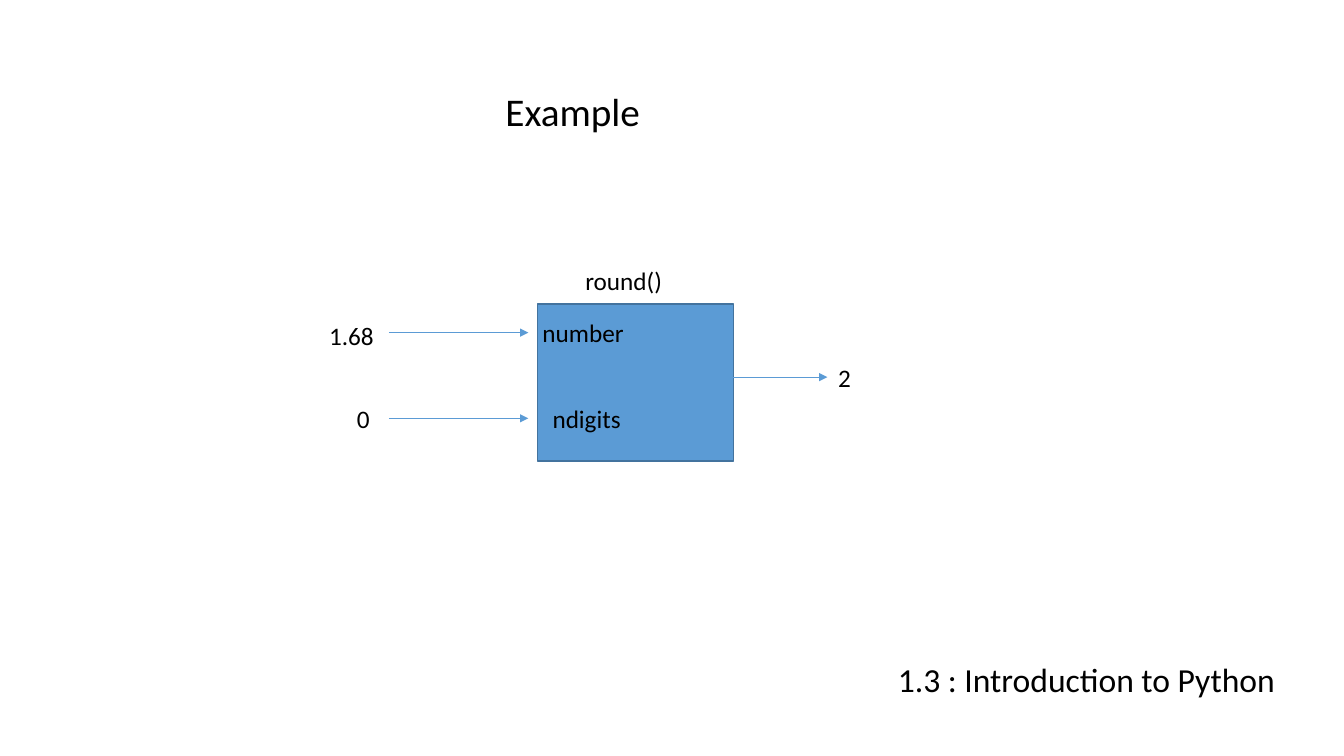
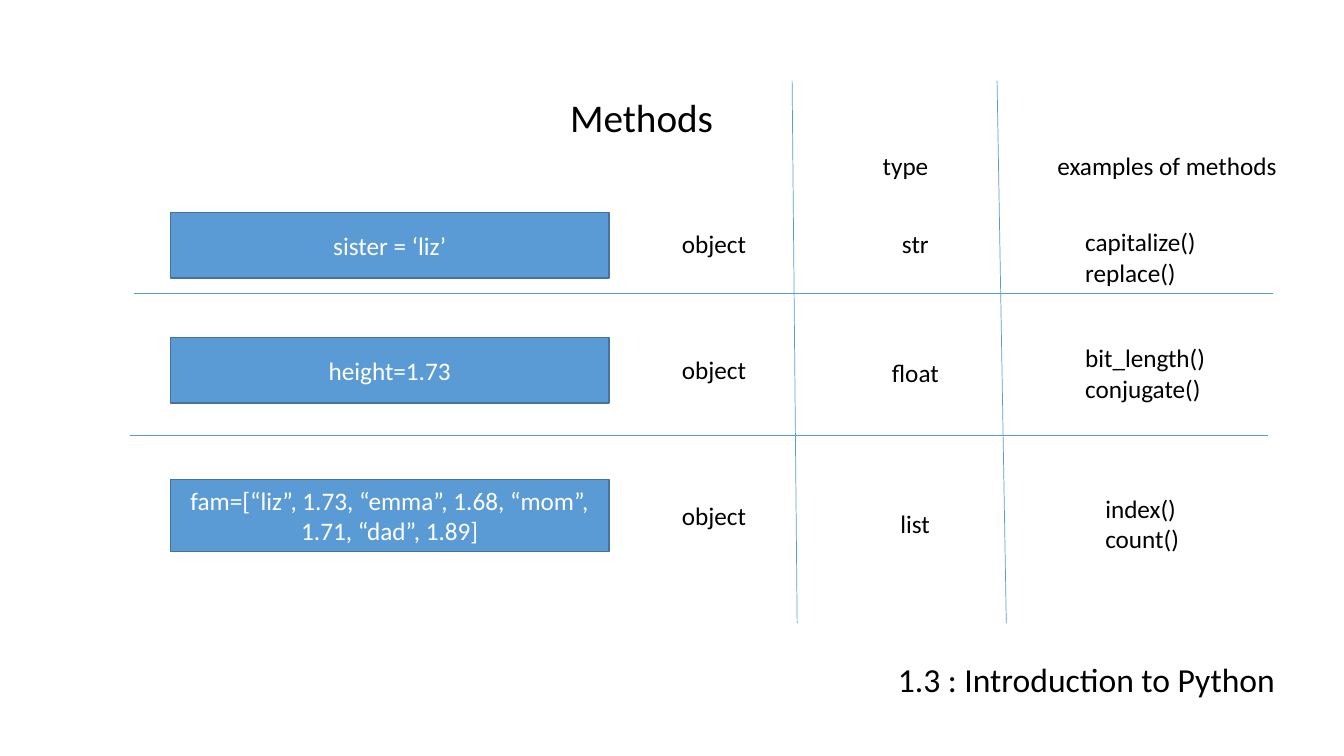
"""Build two slides on Python functions and methods, laid out on a 16 by 9 grid."""
from dataclasses import dataclass

from lxml import etree
from pptx import Presentation
from pptx.dml.color import RGBColor
from pptx.enum.shapes import MSO_CONNECTOR, MSO_SHAPE
from pptx.enum.text import MSO_ANCHOR, PP_ALIGN
from pptx.oxml.ns import qn
from pptx.util import Inches, Pt

RECT = MSO_SHAPE.RECTANGLE
STRAIGHT = MSO_CONNECTOR.STRAIGHT
TOP, MIDDLE = MSO_ANCHOR.TOP, MSO_ANCHOR.MIDDLE
LEFT, CENTER = PP_ALIGN.LEFT, PP_ALIGN.CENTER
WIDTH, HEIGHT = Inches(13.33), Inches(7.5)
COLS, ROWS = 16, 9


@dataclass(frozen=True)
class Theme:
    """Colours, font and type sizes shared by the slides."""
    font: str = "Calibri"
    ink: RGBColor = RGBColor(0x00, 0x00, 0x00)
    paper: RGBColor = RGBColor(0xFF, 0xFF, 0xFF)
    accent: RGBColor = RGBColor(0x5B, 0x9B, 0xD5)
    edge: RGBColor = RGBColor(0x43, 0x73, 0x9E)
    title: int = 28
    footer: int = 24
    body: int = 18
    edge_width: float = 1
    rule_width: float = 0.5


THEME = Theme()


def col(n):
    """Return the length of n grid columns."""
    return int(WIDTH * n / COLS)


def row(n):
    """Return the length of n grid rows."""
    return int(HEIGHT * n / ROWS)


def write(sp, text, size, color, align=LEFT, anchor=TOP):
    """Fill a shape with one styled paragraph and return it."""
    tf = sp.text_frame
    tf.word_wrap = True
    tf.vertical_anchor = anchor
    p = tf.paragraphs[0]
    p.text = text
    p.alignment = align
    p.font.name = THEME.font
    p.font.size = Pt(size)
    p.font.color.rgb = color
    return p


def add_label(s, text, x, y, w=1.3, h=0.48, size=THEME.body, anchor=TOP):
    """Add dark text at a grid position."""
    sp = s.shapes.add_textbox(col(x), row(y), col(w), row(h))
    return write(sp, text, size, THEME.ink, anchor=anchor)


def add_box(s, x, y, w, h, text=""):
    """Add a filled box, with centred light text if any is given."""
    sp = s.shapes.add_shape(RECT, col(x), row(y), col(w), row(h))
    sp.shadow.inherit = False
    sp.fill.solid()
    sp.fill.fore_color.rgb = THEME.accent
    sp.line.color.rgb = THEME.edge
    sp.line.width = Pt(THEME.edge_width)
    if text:
        write(sp, text, THEME.body, THEME.paper, CENTER, MIDDLE)


def add_rule(s, x1, y1, x2, y2, arrow=False):
    """Add a thin line, optionally ending in an arrowhead."""
    line = s.shapes.add_connector(STRAIGHT, col(x1), row(y1), col(x2), row(y2))
    line.line.color.rgb = THEME.accent
    line.line.width = Pt(THEME.rule_width)
    props = line._element.spPr
    if arrow:
        etree.SubElement(props.find(qn("a:ln")), qn("a:tailEnd"), type="triangle")
    etree.SubElement(props, qn("a:effectLst"))


def add_slide(prs, title, x, y):
    """Add a blank slide with its title and the shared footer."""
    s = prs.slides.add_slide(prs.slide_layouts[6])
    p = add_label(s, title, x, y, 2.5, 1.74, THEME.title, MIDDLE)
    p.line_spacing = 0.9
    add_label(s, "1.3 : Introduction to Python", 10.57, 7.79, 5.2, 0.6, THEME.footer)
    return s


def build_example(prs):
    """Show round() as a box with two inputs and one output."""
    s = add_slide(prs, "Example", 5.9, 0.48)
    x, w = 6.4, 2.33
    add_box(s, x, 3.62, w, 1.87)
    for y in (3.96, 4.98):
        add_rule(s, 4.63, y, 6.29, y, arrow=True)
    add_rule(s, x + w, 4.49, 9.85, 4.49, arrow=True)
    for label in (
        ("number", 6.34, 3.72),
        ("ndigits", 6.46, 4.74),
        ("round()", 6.85, 3.1),
        ("1.68", 3.8, 3.76, 0.8),
        ("0", 4.13, 4.74, 0.4),
        ("2", 9.86, 4.25),
    ):
        add_label(s, *label)


def build_methods(prs):
    """List objects with their types and example methods."""
    s = add_slide(prs, "Methods", 6.67, 0.56)
    for text, y, h in (
        ("sister = ‘liz’", 2.53, 0.78),
        ("height=1.73", 4.02, 0.78),
        ("fam=[“liz”, 1.73, “emma”, 1.68, “mom”, 1.71, “dad”, 1.89]", 5.71, 0.86),
    ):
        add_box(s, 2.03, y, 5.22, h, text)
    for y in (2.66, 4.16, 5.9):
        add_label(s, "object", 8, y)
    for label in (
        ("type", 10.39, 1.73),
        ("str", 10.62, 2.66),
        ("float", 10.5, 4.19),
        ("list", 10.6, 5.99),
        ("examples of methods", 12.47, 1.73, 3),
        ("capitalize()\vreplace()", 12.8, 2.64, 1.8, 0.85),
        ("bit_length()\vconjugate()", 12.8, 4.02, 1.8, 0.85),
        ("index()\vcount()", 13.04, 5.81, 1.8, 0.85),
    ):
        add_label(s, *label)
    for x1, x2 in ((9.43, 9.49), (11.87, 11.98)):
        add_rule(s, x1, 0.96, x2, 7.42)
    for x, y in ((1.6, 3.49), (1.55, 5.18)):
        add_rule(s, x, y, x + 13.55, y)


def main():
    """Build and save the presentation."""
    prs = Presentation()
    prs.slide_width, prs.slide_height = WIDTH, HEIGHT
    build_example(prs)
    build_methods(prs)
    prs.save("out.pptx")


if __name__ == "__main__":
    main()
